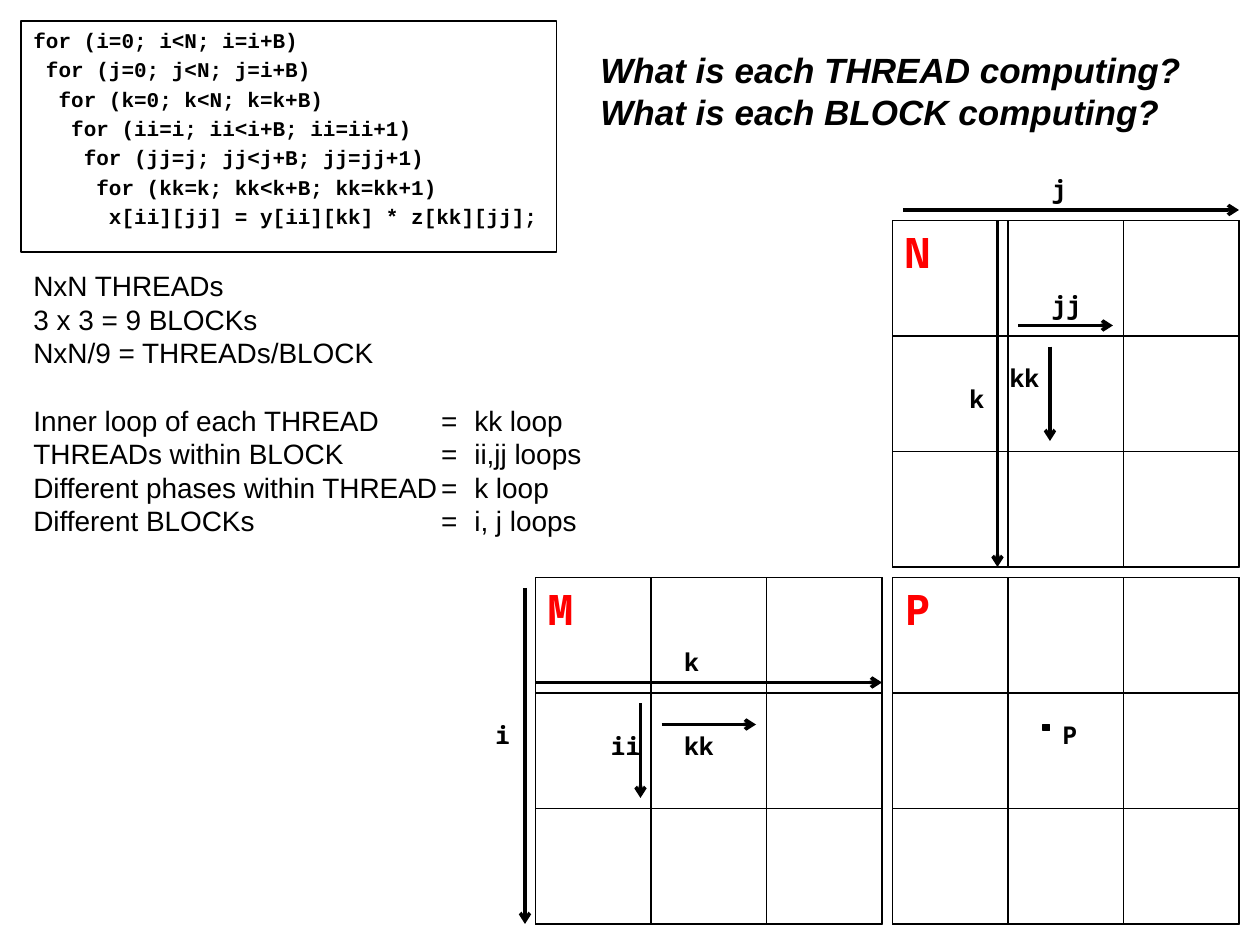
from dataclasses import dataclass

from lxml.etree import SubElement
from pptx import Presentation
from pptx.dml.color import RGBColor
from pptx.enum.shapes import MSO_CONNECTOR, MSO_SHAPE
from pptx.enum.text import MSO_ANCHOR, PP_ALIGN
from pptx.oxml.ns import qn
from pptx.util import Pt


@dataclass(frozen=True)
class Theme:
    ink: RGBColor = RGBColor(0, 0, 0)
    accent: RGBColor = RGBColor(255, 0, 0)
    sans: str = "Arial"
    code: str = "Courier New"
    mono: str = "Noto Sans Mono"
    code_size: float = 12
    label_size: float = 14
    body_size: float = 16
    title_size: float = 20
    matrix_size: float = 24
    hairline: float = 0.75
    arrow_line: float = 2


theme = Theme()
presentation = Presentation()
presentation.slide_width, presentation.slide_height = Pt(720), Pt(540)
slide = presentation.slides.add_slide(presentation.slide_layouts[6])


def add_rectangle(left, top, width, height, filled=False):
    shape = slide.shapes.add_shape(
        MSO_SHAPE.RECTANGLE, Pt(left), Pt(top), Pt(width), Pt(height))
    shape.shadow.inherit = False
    if filled:
        shape.fill.solid()
        shape.fill.fore_color.rgb = theme.ink
    else:
        shape.fill.background()
    shape.line.color.rgb = theme.ink
    shape.line.width = Pt(theme.hairline)
    return shape


def add_text(text, *, box, size, font, shape=None, color=theme.ink,
             bold=False, italic=False, leading=None, before=0):
    """Write each line of text as a paragraph, in a shape or a new text box."""
    shape = shape or slide.shapes.add_textbox(*map(Pt, box))
    frame = shape.text_frame
    frame.word_wrap = True
    frame.vertical_anchor = MSO_ANCHOR.TOP
    for number, line in enumerate(text.split("\n")):
        paragraph = frame.add_paragraph() if number else frame.paragraphs[0]
        paragraph.alignment = PP_ALIGN.LEFT
        paragraph.space_before = Pt(before)
        if leading:
            paragraph.line_spacing = Pt(leading)
        run = paragraph.add_run()
        run.text = line
        run.font.name, run.font.size = font, Pt(size)
        run.font.bold, run.font.italic = bold, italic
        run.font.color.rgb = color
    return frame.paragraphs


# Loop nest, one character of indent per level
loop_nest = """for (i=0; i<N; i=i+B)
for (j=0; j<N; j=i+B)
for (k=0; k<N; k=k+B)
for (ii=i; ii<i+B; ii=ii+1)
for (jj=j; jj<j+B; jj=jj+1)
for (kk=k; kk<k+B; kk=kk+1)
x[ii][jj] = y[ii][kk] * z[kk][jj];"""
code_box = (12, 12, 306, 132)
code_lines = add_text(
    loop_nest, box=code_box, shape=add_rectangle(*code_box), bold=True,
    size=theme.code_size, font=theme.code, leading=14.4, before=2.4)
for level, paragraph in enumerate(code_lines):
    paragraph._p.get_or_add_pPr().set("marL", str(Pt(7.2 * level)))

# Questions
add_text("What is each THREAD computing?\nWhat is each BLOCK computing?",
         box=(336, 24, 350, 55.4), size=theme.title_size, font=theme.sans,
         bold=True, italic=True, leading=24)

# Matrices, each three blocks by three
cell = 66
matrices = {"M": (306, 330), "N": (510, 126), "P": (510, 330)}
for left, top in matrices.values():
    add_rectangle(left, top, 3 * cell, 3 * cell)
    for row in range(3):
        for column in range(3):
            add_rectangle(left + column * cell, top + row * cell, cell, cell)
for name, (left, top) in matrices.items():
    add_text(name, box=(left, top, 30, 36), size=theme.matrix_size,
             font=theme.mono, color=theme.accent, bold=True)

# Answers, with tab stops for the equals signs and the loops
answers = """NxN THREADs
3 x 3 = 9 BLOCKs
NxN/9 = THREADs/BLOCK
Inner loop of each THREAD\t=\tkk loop
THREADs within BLOCK\t=\tii,jj loops
Different phases within THREAD\t=\tk loop
Different BLOCKs\t=\ti, j loops"""
answer_lines = add_text(answers, box=(12, 150, 333, 181.4), leading=19.2,
                        size=theme.body_size, font=theme.sans)
answer_lines[3].space_before = Pt(19.2)
for paragraph in answer_lines[3:]:
    tab_list = SubElement(paragraph._p.get_or_add_pPr(), qn("a:tabLst"))
    for position in (233, 252):
        SubElement(tab_list, qn("a:tab"), pos=str(Pt(position)), algn="l")

# Loop directions: start and end of each arrow
arrows = [
    (378, 414, 432, 414), (366, 402, 366, 456),
    (306, 390, 504, 390), (300, 336, 300, 528),
    (600, 198, 600, 252), (582, 186, 636, 186),
    (570, 126, 570, 324), (516, 120, 708, 120),
]
for ends in arrows:
    arrow = slide.shapes.add_connector(MSO_CONNECTOR.STRAIGHT, *map(Pt, ends))
    arrow.line.color.rgb = theme.ink
    arrow.line.width = Pt(theme.arrow_line)
    SubElement(arrow.line._get_or_add_ln(), qn("a:tailEnd"), type="arrow")
    SubElement(arrow._element.spPr, qn("a:effectLst"))

# Computed element and loop labels
add_rectangle(596, 414, 3.6, 3.6, filled=True)
labels = [
    ("kk", 384, 414), ("ii", 342, 414), ("k", 384, 366),
    ("i", 276, 408), ("kk", 570, 204), ("jj", 594, 162),
    ("k", 547, 216), ("j", 594, 96), ("P", 600, 408),
]
for label, left, top in labels:
    add_text(label, box=(left, top, 14 + 9 * len(label), 24.5), bold=True,
             size=theme.label_size, font=theme.mono)

presentation.save("out.pptx")
